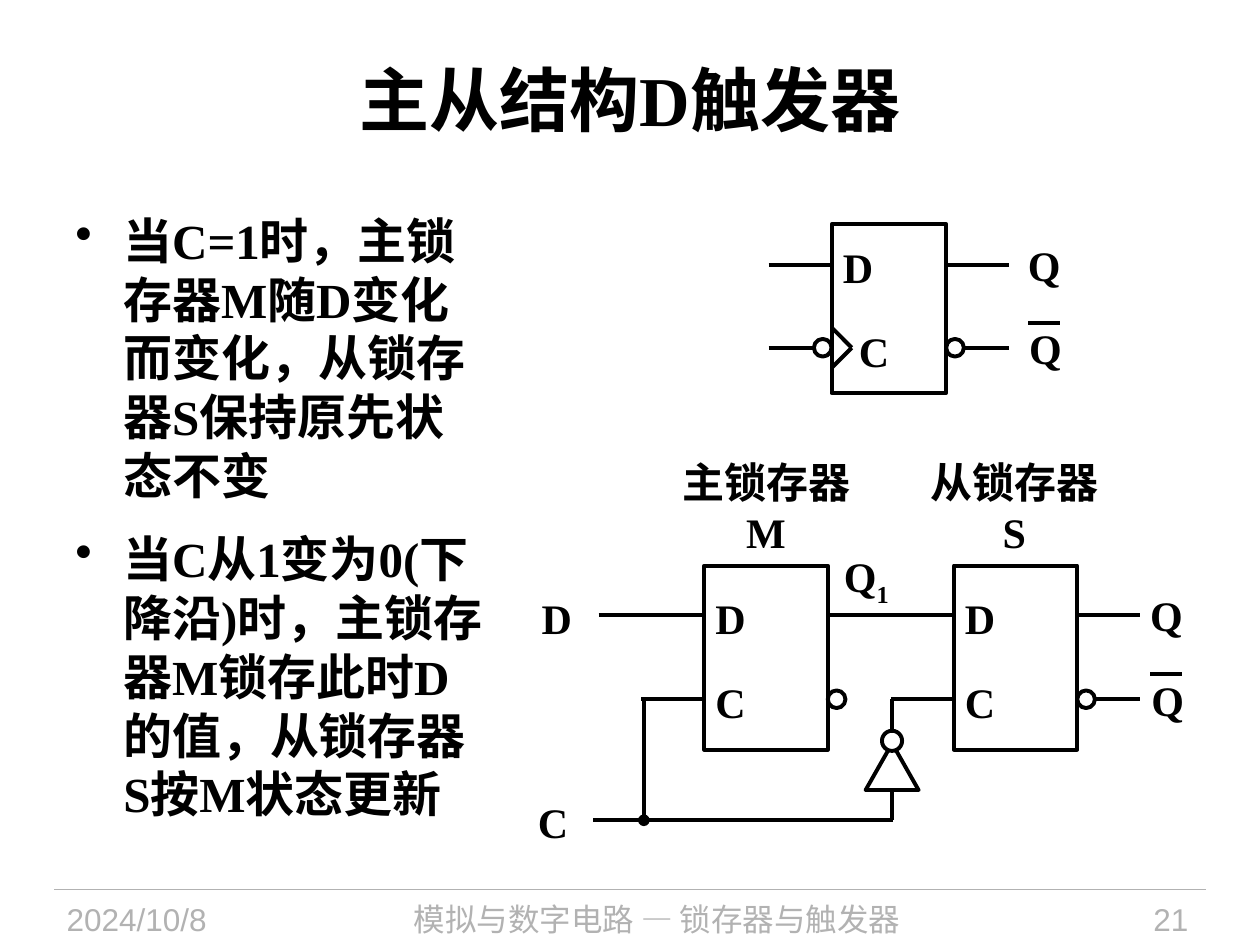
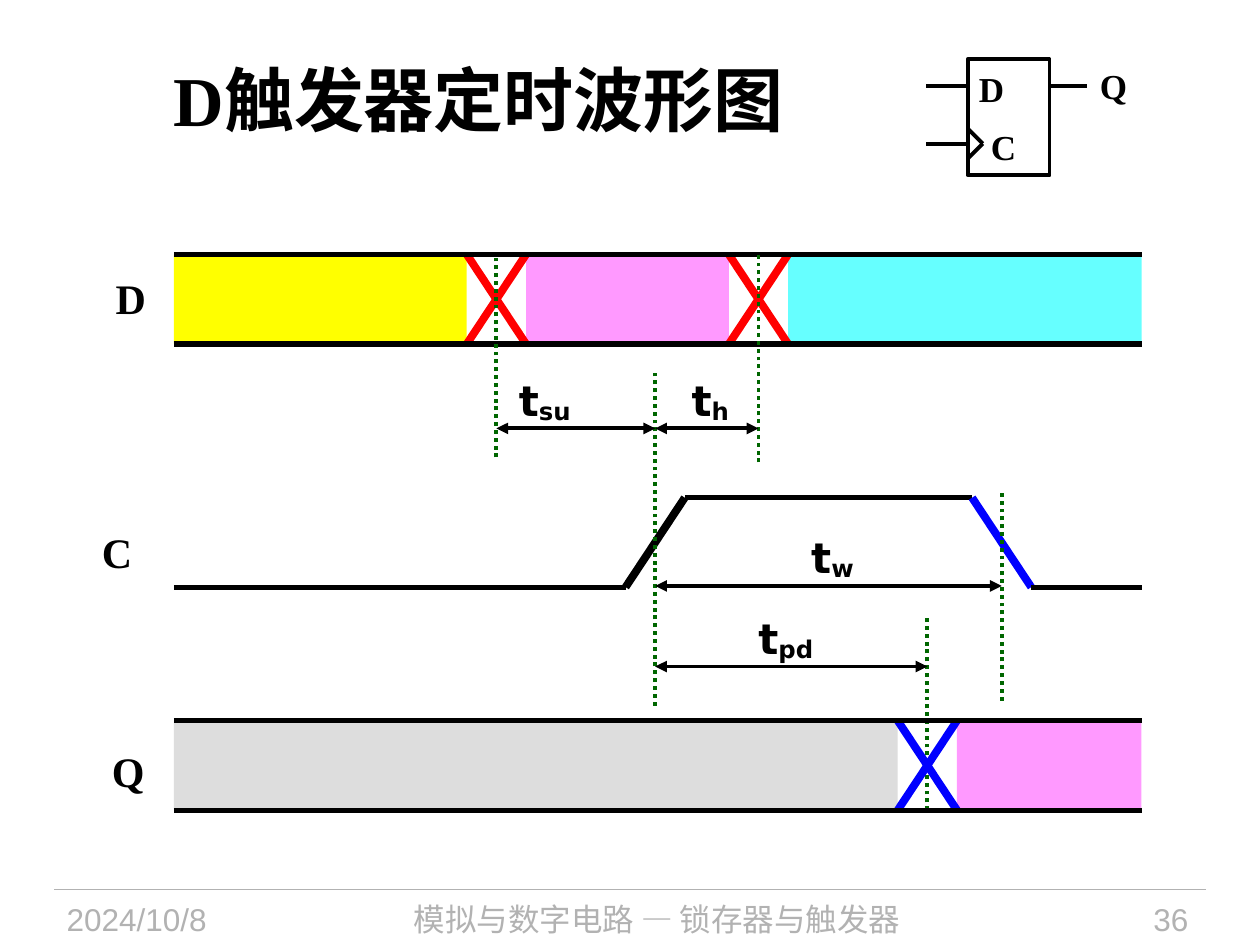
from dataclasses import dataclass
from itertools import pairwise

from lxml.etree import SubElement
from pptx import Presentation
from pptx.dml.color import RGBColor
from pptx.enum.dml import MSO_LINE
from pptx.enum.shapes import MSO_CONNECTOR, MSO_SHAPE
from pptx.enum.text import MSO_ANCHOR, PP_ALIGN
from pptx.oxml.ns import qn
from pptx.slide import Slide
from pptx.util import Inches, Pt

Point = tuple[float, float]
Box = tuple[float, float, float, float]


@dataclass(frozen=True)
class Theme:
    black: str = "000000"
    white: str = "FFFFFF"
    gray: str = "B2B2B2"
    red: str = "FF0000"
    blue: str = "0000FF"
    green: str = "006600"
    yellow: str = "FFFF00"
    pink: str = "FF99FF"
    cyan: str = "66FFFF"
    silver: str = "DDDDDD"
    serif: str = "Times New Roman"
    sans: str = "Arial"
    chinese: str = "Noto Sans CJK SC"
    timing: str = "DejaVu Sans"
    title: int = 40
    body: int = 28
    label: int = 24
    small_label: int = 20
    footer: int = 18
    wire: float = 2.25
    rail: float = 3
    edge: float = 4.5


THEME = Theme()


@dataclass(frozen=True)
class Block:
    """A latch or flip-flop symbol; rows are measured from its top edge."""
    left: float
    top: float
    width: float
    height: float
    d_row: float
    c_row: float
    d_lead: float = 0.5
    c_lead: float = 0.5
    q_lead: float = 0.5
    inverse_lead: float = 0
    has_inverse: bool = True
    q_gap: float = 0          # distance to the Q label, 0 for no label
    wedge: float = 0          # size of the clock edge mark, 0 for a level input
    clock_bubble: bool = False
    size: int = THEME.label


@dataclass(frozen=True)
class Signal:
    """A waveform of coloured bands separated by crossings."""
    top: float
    crossings: tuple[float, ...]
    fills: tuple[str, ...]
    cross_color: str


@dataclass(frozen=True)
class Interval:
    start: float
    end: float
    y: float
    subscript: str
    label: Box


# Drawing helpers
def add_text(slide: Slide, box: Box, *paragraphs: str, font: str = THEME.serif,
             size: int = THEME.label, color: str = THEME.black, bold: bool = True,
             align: PP_ALIGN = PP_ALIGN.LEFT, anchor: MSO_ANCHOR = MSO_ANCHOR.TOP,
             wrap: bool = False, top_inset: float = 0.08, leading: float = 0,
             subscript: str = "", drop: int = -25, bullet: bool = False,
             indent: float = 0, before: float = 0, after: float = 0) -> None:
    frame = slide.shapes.add_textbox(*map(Inches, box)).text_frame
    frame.word_wrap, frame.vertical_anchor = wrap, anchor
    frame.margin_top = Inches(top_inset)
    for index, content in enumerate(paragraphs):
        paragraph = frame.paragraphs[0] if index == 0 else frame.add_paragraph()
        properties = paragraph._p.get_or_add_pPr()
        if bullet:
            properties.set("marL", str(-Inches(indent)))
            SubElement(properties, qn("a:buChar"), char="•")
        if indent:
            properties.set("indent", str(Inches(indent)))
        paragraph.alignment = align
        if leading:
            paragraph.line_spacing = Pt(leading * size)
        if index:
            paragraph.space_before = Pt(before)
        paragraph.space_after = Pt(after)
        for words in filter(None, (content, subscript)):
            run = paragraph.add_run()
            run.text = words
            run.font.size, run.font.bold, run.font.name = Pt(size), bold, font
            run.font.color.rgb = RGBColor.from_string(color)
            run_properties = run._r.get_or_add_rPr()
            SubElement(run_properties, qn("a:ea"), typeface=THEME.chinese)
            if subscript and words == subscript:
                run_properties.set("baseline", str(drop * 1000))


def add_line(slide: Slide, start: Point, end: Point, color: str = THEME.black,
             width: float = THEME.wire, dotted: bool = False,
             head: str = "", tail: str = "") -> None:
    connector = slide.shapes.add_connector(
        MSO_CONNECTOR.STRAIGHT, *map(Inches, (*start, *end)))
    connector.line.color.rgb = RGBColor.from_string(color)
    connector.line.width = Pt(width)
    if dotted:
        connector.line.dash_style = MSO_LINE.ROUND_DOT
    outline = connector.line._get_or_add_ln()
    for tag, kind in (("a:headEnd", head), ("a:tailEnd", tail)):
        if kind:
            SubElement(outline, qn(tag), type=kind)
    SubElement(connector._element.spPr, qn("a:effectLst"))


def add_figure(slide: Slide, kind: MSO_SHAPE, box: Box, fill: str = "",
               outlined: bool = True, rotation: float = 0) -> None:
    shape = slide.shapes.add_shape(kind, *map(Inches, box))
    shape.shadow.inherit = False
    shape.rotation = rotation
    if fill:
        shape.fill.solid()
        shape.fill.fore_color.rgb = RGBColor.from_string(fill)
    else:
        shape.fill.background()
    if outlined:
        shape.line.color.rgb = RGBColor.from_string(THEME.black)
        shape.line.width = Pt(THEME.wire)
    else:
        shape.line.fill.background()


def add_bubble(slide: Slide, left: float, y: float, diameter: float = 0.14) -> None:
    box = (left, y - diameter / 2, diameter, diameter)
    add_figure(slide, MSO_SHAPE.OVAL, box, THEME.white)


def add_pin_label(slide: Slide, name: str, left: float, y: float,
                  size: int = THEME.label) -> None:
    height = 0.5 if size == THEME.label else 0.43
    add_text(slide, (left, y - height / 2 - 0.01, 0.45, height), name, size=size)


def add_block(slide: Slide, block: Block) -> None:
    left, right = block.left, block.left + block.width
    d_y, c_y = block.top + block.d_row, block.top + block.c_row
    add_figure(slide, MSO_SHAPE.RECTANGLE, (left, block.top, block.width, block.height))
    # Leads
    add_line(slide, (left - block.d_lead, d_y), (left, d_y))
    add_line(slide, (left - block.c_lead, c_y), (left, c_y))
    add_line(slide, (right, d_y), (right + block.q_lead, d_y))
    if block.inverse_lead:
        add_line(slide, (right, c_y), (right + block.inverse_lead, c_y))
    # Pin names and marks
    add_pin_label(slide, "D", left - 0.01, d_y, block.size)
    add_pin_label(slide, "C", left - 0.01 + block.wedge * 0.8, c_y, block.size)
    if block.wedge:
        for side in (-1, 1):
            add_line(slide, (left, c_y + side * block.wedge), (left + block.wedge, c_y))
    if block.clock_bubble:
        add_bubble(slide, left - 0.14, c_y)
    if block.has_inverse:
        add_bubble(slide, right, c_y)
    # Output names
    if block.q_gap:
        name_x = right + block.q_gap
        add_pin_label(slide, "Q", name_x, d_y - 0.02, block.size)
        if block.has_inverse:
            add_pin_label(slide, "Q", name_x + 0.01, c_y - 0.02, block.size)
            add_line(slide, (name_x + 0.1, c_y - 0.2), (name_x + 0.35, c_y - 0.2))


# Waveform geometry
WAVE_LEFT, WAVE_RIGHT, WAVE_HEIGHT, HALF_EDGE = 1.38, 9.06, 0.71, 0.235


def add_signal(slide: Slide, signal: Signal) -> None:
    top, bottom = signal.top, signal.top + WAVE_HEIGHT
    stops = (WAVE_LEFT - HALF_EDGE, *signal.crossings, WAVE_RIGHT + HALF_EDGE)
    for (start, end), fill in zip(pairwise(stops), signal.fills):
        band = (start + HALF_EDGE, top, end - start - 2 * HALF_EDGE, WAVE_HEIGHT)
        add_figure(slide, MSO_SHAPE.RECTANGLE, band, fill, outlined=False)
    for x in signal.crossings:
        for y_start, y_end in ((top, bottom), (bottom, top)):
            add_line(slide, (x - HALF_EDGE, y_start), (x + HALF_EDGE, y_end),
                     signal.cross_color, THEME.edge)
    for y in (top, bottom):
        add_line(slide, (WAVE_LEFT, y), (WAVE_RIGHT, y), width=THEME.rail)


def add_clock(slide: Slide, high: float, rise: float, fall: float) -> None:
    low = high + WAVE_HEIGHT
    points = ((WAVE_LEFT, low), (rise - HALF_EDGE, low), (rise + HALF_EDGE, high),
              (fall - HALF_EDGE, high), (fall + HALF_EDGE, low), (WAVE_RIGHT, low))
    for index, (start, end) in enumerate(pairwise(points)):
        add_line(slide, start, end, THEME.blue if index == 3 else THEME.black,
                 THEME.edge if index % 2 else THEME.rail)


def new_slide(presentation: Presentation, title: str, number: int,
              align: PP_ALIGN = PP_ALIGN.CENTER, indent: float = 0) -> Slide:
    slide = presentation.slides.add_slide(presentation.slide_layouts[6])
    add_line(slide, (0.43, 7.06), (9.57, 7.06), THEME.gray, 0.75)
    for left, width, words, font, side in (
            (0.43, 1.88, "2024/10/8", THEME.sans, PP_ALIGN.LEFT),
            (2.4, 5.63, "模拟与数字电路 — 锁存器与触发器", THEME.chinese, PP_ALIGN.CENTER),
            (8.2, 1.33, str(number), THEME.sans, PP_ALIGN.RIGHT)):
        add_text(slide, (left, 7.06, width, 0.44), words, font=font, size=THEME.footer,
                 color=THEME.gray, bold=False, align=side, wrap=True, leading=1.2)
    add_text(slide, (0.5, 0.17, 9, 1.25), title, size=THEME.title, align=align,
             anchor=MSO_ANCHOR.MIDDLE, wrap=True, top_inset=0.02, indent=indent)
    return slide


def build_structure_slide(presentation: Presentation) -> None:
    slide = new_slide(presentation, "主从结构D触发器", 21)
    add_text(slide, (0.5, 1.59, 3.48, 5.39),
             "当C=1时，主锁存器M随D变化而变化，从锁存器S保持原先状态不变",
             "当C从1变为0(下降沿)时，主锁存器M锁存此时D的值，从锁存器S按M状态更新",
             size=THEME.body, wrap=True, leading=1.2, bullet=True, indent=-0.38,
             before=8.4, after=5.6)

    # Flip-flop symbol, master latch and slave latch
    latch = dict(top=4.49, width=0.98, height=1.46, d_row=0.39, c_row=1.06)
    for block in (
            Block(6.6, 1.78, 0.91, 1.34, 0.32, 0.98, inverse_lead=0.5, q_gap=0.55,
                  wedge=0.16, clock_bubble=True),
            Block(left=5.59, **latch, d_lead=0.84, c_lead=0.5),
            Block(left=7.57, **latch, inverse_lead=0.5, q_gap=0.48)):
        add_block(slide, block)
    for left, name, letter in ((5.31, "主锁存器", "M"), (7.28, "从锁存器", "S")):
        add_text(slide, (left, 3.55, 1.54, 0.9), name, letter,
                 align=PP_ALIGN.CENTER, leading=1.18)
    add_text(slide, (6.6, 4.29, 0.57, 0.5), "Q", subscript="1")

    # Clock wiring with the inverter
    clock_y, gate_y, inverter_x = 6.51, 5.55, 7.08
    add_line(slide, (4.71, clock_y), (inverter_x + 0.01, clock_y))
    add_line(slide, (inverter_x, gate_y), (inverter_x, clock_y))
    add_line(slide, (5.11, gate_y), (5.11, clock_y), tail="oval")
    add_figure(slide, MSO_SHAPE.FLOWCHART_MERGE, (inverter_x - 0.21, 5.9, 0.42, 0.37),
               THEME.white, rotation=180)
    add_bubble(slide, inverter_x - 0.08, 5.88, 0.16)
    add_pin_label(slide, "D", 4.2, 4.88)
    add_pin_label(slide, "C", 4.17, 6.5)


def build_timing_slide(presentation: Presentation) -> None:
    slide = new_slide(presentation, "D触发器定时波形图", 36, PP_ALIGN.LEFT, 0.78)
    add_block(slide, Block(7.68, 0.47, 0.65, 0.92, 0.21, 0.67, d_lead=0.33, c_lead=0.33,
                           q_lead=0.3, has_inverse=False, q_gap=0.3, wedge=0.12,
                           size=THEME.small_label))

    # Waveforms and guides
    setup, rise, hold, output, fall = 3.94, 5.2, 6.02, 7.36, 7.95
    add_signal(slide, Signal(2.02, (setup, hold),
                             (THEME.yellow, THEME.pink, THEME.cyan), THEME.red))
    add_clock(slide, 3.95, rise, fall)
    for x, top, bottom in ((setup, 2.02, 3.63), (hold, 2.02, 3.67), (rise, 2.96, 5.6),
                           (output, 4.89, 6.43), (fall, 3.91, 5.56)):
        add_line(slide, (x, bottom), (x, top), THEME.green, dotted=True)
    add_signal(slide, Signal(5.72, (output,), (THEME.silver, THEME.pink), THEME.blue))
    for name, left, y in (("D", 0.82, 2.34), ("C", 0.71, 4.36), ("Q", 0.79, 6.1)):
        add_pin_label(slide, name, left, y)

    # Time intervals
    for interval in (Interval(setup, rise, 3.4, "su", (4.02, 2.89, 0.64, 0.5)),
                     Interval(rise, hold, 3.4, "h", (5.39, 2.89, 0.51, 0.5)),
                     Interval(rise, fall, 4.65, "w", (6.34, 4.14, 0.57, 0.5)),
                     Interval(rise, output, 5.29, "pd", (5.92, 4.78, 0.66, 0.5))):
        add_line(slide, (interval.start, interval.y), (interval.end, interval.y),
                 head="triangle", tail="triangle")
        add_text(slide, interval.label, "t", font=THEME.timing,
                 subscript=interval.subscript, drop=-10)


def main() -> None:
    presentation = Presentation()
    presentation.slide_width, presentation.slide_height = Inches(10), Inches(7.5)
    build_structure_slide(presentation)
    build_timing_slide(presentation)
    presentation.save("out.pptx")


if __name__ == "__main__":
    main()
